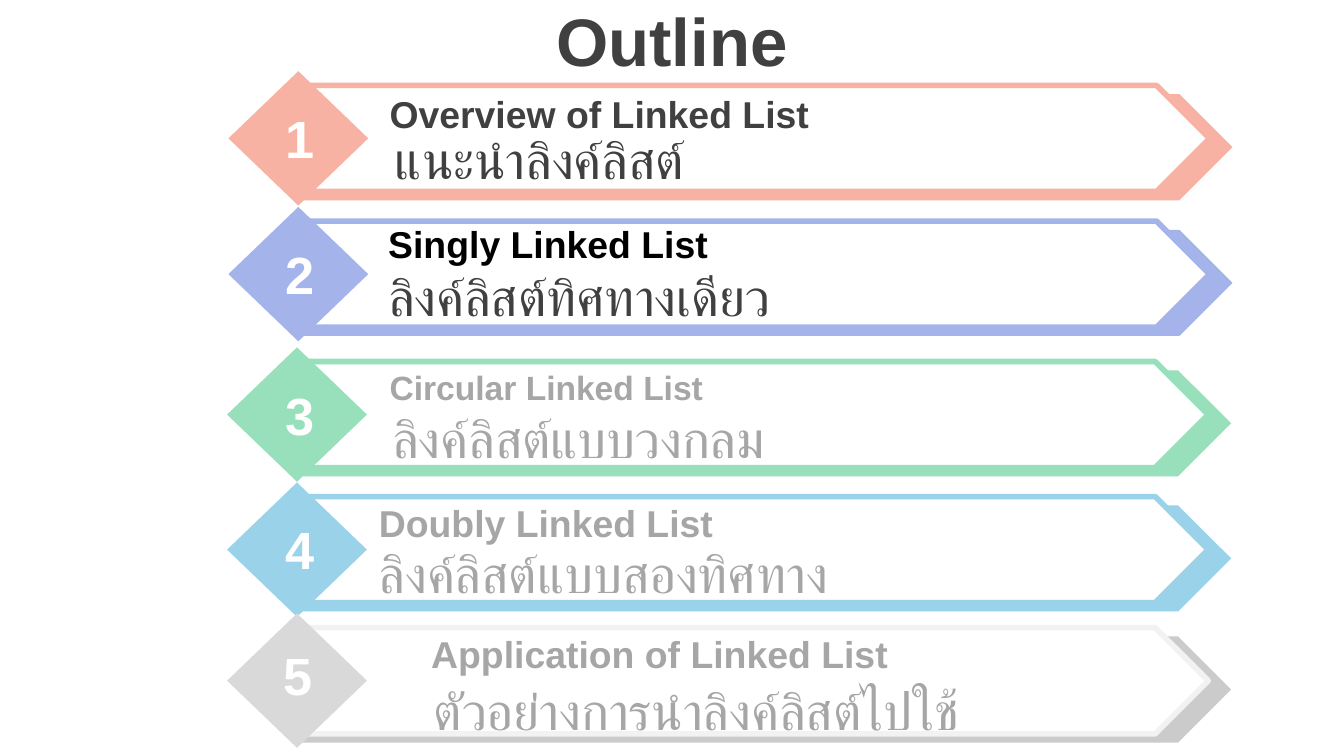
import pptx
import pptx.util
import pptx.dml.color
import pptx.enum.shapes
import pptx.enum.text
import pptx.oxml
import pptx.oxml.ns

RGB = pptx.dml.color.RGBColor
SHAPE = pptx.enum.shapes.MSO_SHAPE
ALIGN = pptx.enum.text.PP_ALIGN
ANCHOR = pptx.enum.text.MSO_ANCHOR

WHITE = RGB(0xFF, 0xFF, 0xFF)
BLACK = RGB(0x00, 0x00, 0x00)
DARK = RGB(0x40, 0x40, 0x40)
MUTED = RGB(0xA6, 0xA6, 0xA6)
CORAL = RGB(0xF8, 0xB2, 0xA3)
BLUE = RGB(0xA4, 0xB4, 0xEA)
GREEN = RGB(0x98, 0xDF, 0xBB)
SKY = RGB(0x9A, 0xD3, 0xE9)
SILVER = RGB(0xCB, 0xCB, 0xCB)
GREY = RGB(0xD9, 0xD9, 0xD9)
PALE = RGB(0xF2, 0xF2, 0xF2)

# 16:9 slide on a square grid: 100 columns across
SLIDE_W = pptx.util.Inches(10)
SLIDE_H = SLIDE_W * 9 // 16
CELL = SLIDE_W / 100

# Each banner: top row, left column, (shadow, outline, diamond) colours
BANNERS = [
    (5.3, 17, (CORAL, CORAL, CORAL)),
    (15.4, 17, (BLUE, BLUE, BLUE)),
    (25.85, 16.9, (GREEN, GREEN, GREEN)),
    (35.9, 16.9, (SKY, SKY, SKY)),
    (45.65, 16.9, (SILVER, PALE, GREY)),
]
# Each topic: number column and row, then
# (text, column, row, width, size, colour) in English and Thai
TOPICS = [
    (20, 7.4, ("Overview of Linked List", 28, 6.3, 54.2, 20, DARK),
     ("แนะนำลิงค์ลิสต์", 28.4, 9, 54.2, 28, DARK)),
    (20, 17.5, ("Singly Linked List", 27.9, 16, 59.8, 20, BLACK),
     ("ลิงค์ลิสต์ทิศทางเดียว", 27.9, 19.2, 61.4, 28, DARK)),
    (20, 28, ("Circular Linked List", 28, 26.8, 54.2, 18, MUTED),
     ("ลิงค์ลิสต์แบบวงกลม", 28.2, 29.7, 54.2, 28, MUTED)),
    (20, 38, ("Doubly Linked List", 27.2, 36.7, 54.2, 20, MUTED),
     ("ลิงค์ลิสต์แบบสองทิศทาง", 27.2, 39.8, 62, 28, MUTED)),
    (19.9, 47.35, ("Application of Linked List", 31.1, 46.5, 54.2, 20, MUTED),
     ("ตัวอย่างการนำลิงค์ลิสต์ไปใช้", 31.3, 50, 54.2, 28, MUTED)),
]


def grid(*cells):
    return [round(c * CELL) for c in cells]


def add_text(s, text, box, size=28, color=DARK, bold=False,
             align=ALIGN.LEFT, anchor=ANCHOR.TOP):
    tf = s.shapes.add_textbox(*grid(*box)).text_frame
    tf.word_wrap = True
    tf.vertical_anchor = anchor
    p = tf.paragraphs[0]
    p.alignment = align
    r = p.add_run()
    r.text = text
    r.font.size = pptx.util.Pt(size)
    r.font.bold = bold
    r.font.color.rgb = color
    r.font.name = "Arial"
    # Complex-script font for the Thai text
    cs = pptx.oxml.ns.qn("a:cs")
    r.font._element.append(r.font._element.makeelement(cs, {"typeface": "Arial"}))


def add_block(s, kind, box, fill, line=None):
    sp = s.shapes.add_shape(kind, *grid(*box))
    sp.shadow.inherit = False
    sp.fill.solid()
    sp.fill.fore_color.rgb = fill
    if line is None:
        sp.line.fill.background()
    else:
        sp.line.color.rgb = line
        sp.line.width = pptx.util.Pt(3)


def add_banner(s, top, left, colors):
    shadow, outline, diamond = colors
    add_block(s, SHAPE.PENTAGON, (left + 5.5, top + 1.7, 69.2, 7.9), shadow)
    add_block(s, SHAPE.PENTAGON, (left + 5.5, top + 1.05, 67.5, 7.9), WHITE, outline)
    add_block(s, SHAPE.DIAMOND, (left, top, 10.4, 10), diamond)


def add_topic(s, number, number_col, number_row, english, thai):
    add_text(s, str(number) + " ", (number_col, number_row, 4.6, 5.7), color=WHITE,
             bold=True, align=ALIGN.CENTER, anchor=ANCHOR.MIDDLE)
    for (text, col, row, width, size, color), bold, height in (
            (english, True, 4.4), (thai, False, 5.7)):
        add_text(s, text, (col, row, width, height), size=size, color=color, bold=bold)


def main():
    prs = pptx.Presentation()
    prs.slide_width, prs.slide_height = SLIDE_W, SLIDE_H
    s = prs.slides.add_slide(prs.slide_layouts[6])

    # Heading
    add_text(s, "Outline", (0, -0.2, 100, 6.3), size=36, bold=True,
             align=ALIGN.CENTER, anchor=ANCHOR.MIDDLE)

    # Numbered outline
    for number, (banner, topic) in enumerate(zip(BANNERS, TOPICS), 1):
        add_banner(s, *banner)
        add_topic(s, number, *topic)

    prs.save("out.pptx")


if __name__ == "__main__":
    main()
